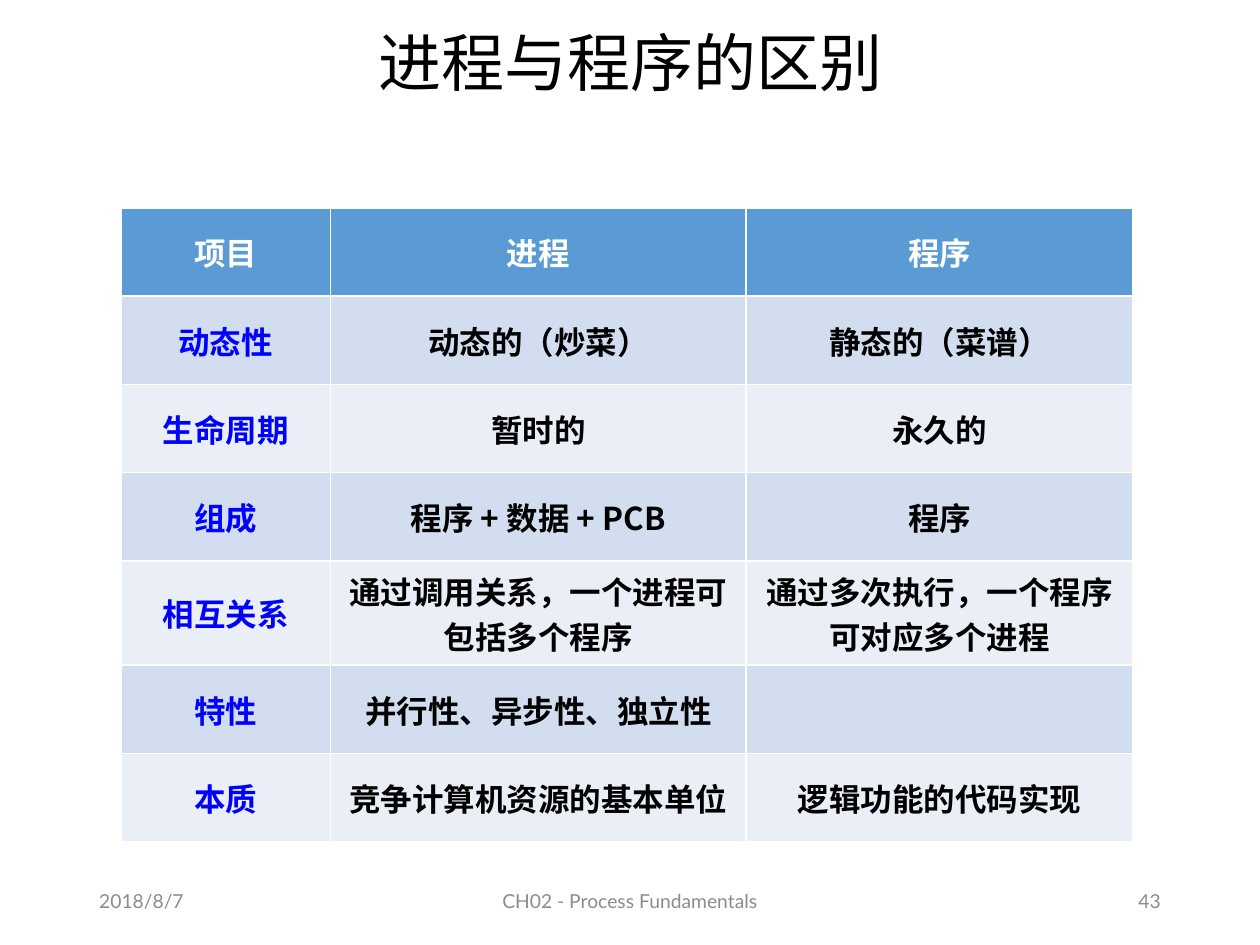
from dataclasses import dataclass

from lxml.etree import SubElement
from pptx import Presentation
from pptx.dml.color import RGBColor
from pptx.enum.text import MSO_ANCHOR, PP_ALIGN
from pptx.oxml.ns import qn
from pptx.util import Cm, Pt


@dataclass(frozen=True)
class Theme:
    cjk: str = "Noto Sans CJK SC"
    latin: str = "Lato"
    black: str = "000000"
    white: str = "FFFFFF"
    grey: str = "8C8C8C"
    label: str = "0000FF"
    header: str = "5B9BD5"
    bands: tuple = ("D2DEEF", "EAEFF7")
    title_size: int = 36
    table_size: int = 18
    footer_size: int = 11


THEME = Theme()

ROWS = [
    ("项目", "进程", "程序"),
    ("动态性", "动态的（炒菜）", "静态的（菜谱）"),
    ("生命周期", "暂时的", "永久的"),
    ("组成", "程序 + 数据 + PCB", "程序"),
    ("相互关系", "通过调用关系，一个进程可包括多个程序", "通过多次执行，一个程序可对应多个进程"),
    ("特性", "并行性、异步性、独立性", ""),
    ("本质", "竞争计算机资源的基本单位", "逻辑功能的代码实现"),
]
COLUMN_WIDTHS = (4.22, 8.38, 7.8)
ROW_HEIGHT = 1.78
TWO_LINE_HEIGHT = 2.1
LINE_CHARS = 12  # characters that fit on one line of a cell
ROW_HEIGHTS = [
    TWO_LINE_HEIGHT if max(map(len, texts)) > LINE_CHARS + 2 else ROW_HEIGHT
    for texts in ROWS
]

# Text, left, width and alignment of each footer part
FOOTERS = [
    ("2018/8/7", 1.75, 5.72, PP_ALIGN.LEFT),
    ("CH02 - Process Fundamentals", 8.41, 8.58, PP_ALIGN.CENTER),
    ("43", 17.93, 5.72, PP_ALIGN.RIGHT),
]


def write(tf, text, color, align, **font):
    """Write one formatted paragraph into a text frame."""
    p = tf.paragraphs[0]
    p.alignment = align
    if not text:
        return p
    r = p.add_run()
    r.text = text
    for name, value in font.items():
        setattr(r.font, name, value)
    r.font.color.rgb = RGBColor.from_string(color)
    # East Asian characters take their font from a separate element
    SubElement(r.font._element, qn("a:ea"), typeface=font["name"])
    return p


def add_title(s, text):
    sp = s.shapes.title
    box = {"left": Cm(1.75), "top": Cm(0.36), "width": Cm(21.9), "height": Cm(1.93)}
    for name, value in box.items():
        setattr(sp, name, value)
    sp.text_frame.vertical_anchor = MSO_ANCHOR.MIDDLE
    p = write(sp.text_frame, text, THEME.black, PP_ALIGN.CENTER,
              name=THEME.cjk, size=Pt(THEME.title_size))
    p.line_spacing = 0.9


def add_footer(s, text, left, width, align):
    tf = s.shapes.add_textbox(Cm(left), Cm(17.65), Cm(width), Cm(1.02)).text_frame
    tf.word_wrap = True
    tf.vertical_anchor = MSO_ANCHOR.MIDDLE
    write(tf, text, THEME.grey, align, name=THEME.latin, size=Pt(THEME.footer_size))


def set_borders(cell):
    tcPr = cell._tc.get_or_add_tcPr()
    for side in ("lnL", "lnR", "lnT", "lnB"):
        ln = SubElement(tcPr, qn(f"a:{side}"), w=str(Pt(1)))
        fill = SubElement(ln, qn("a:solidFill"))
        SubElement(fill, qn("a:srgbClr"), val=THEME.white)


def format_cell(cell, text, row, col):
    if row == 0:
        fill, color = THEME.header, THEME.white
    else:
        fill = THEME.bands[(row - 1) % 2]
        color = THEME.label if col == 0 else THEME.black
    set_borders(cell)
    cell.fill.solid()
    cell.fill.fore_color.rgb = RGBColor.from_string(fill)
    cell.vertical_anchor = MSO_ANCHOR.MIDDLE
    write(cell.text_frame, text, color, PP_ALIGN.CENTER,
          name=THEME.cjk, size=Pt(THEME.table_size), bold=True)


def add_comparison_table(s):
    table = s.shapes.add_table(
        len(ROWS), len(COLUMN_WIDTHS), Cm(2.44), Cm(4.19),
        Cm(sum(COLUMN_WIDTHS)), Cm(sum(ROW_HEIGHTS))).table
    for column, width in zip(table.columns, COLUMN_WIDTHS):
        column.width = Cm(width)
    for row, (texts, height) in enumerate(zip(ROWS, ROW_HEIGHTS)):
        table.rows[row].height = Cm(height)
        for col, text in enumerate(texts):
            format_cell(table.cell(row, col), text, row, col)


def main():
    prs = Presentation()
    prs.slide_width, prs.slide_height = Cm(25.4), Cm(19.05)
    s = prs.slides.add_slide(prs.slide_layouts[5])

    # Title
    add_title(s, "进程与程序的区别")

    # Date, chapter and page number
    for footer in FOOTERS:
        add_footer(s, *footer)

    # Comparison of process and program
    add_comparison_table(s)

    prs.save("out.pptx")


if __name__ == "__main__":
    main()
